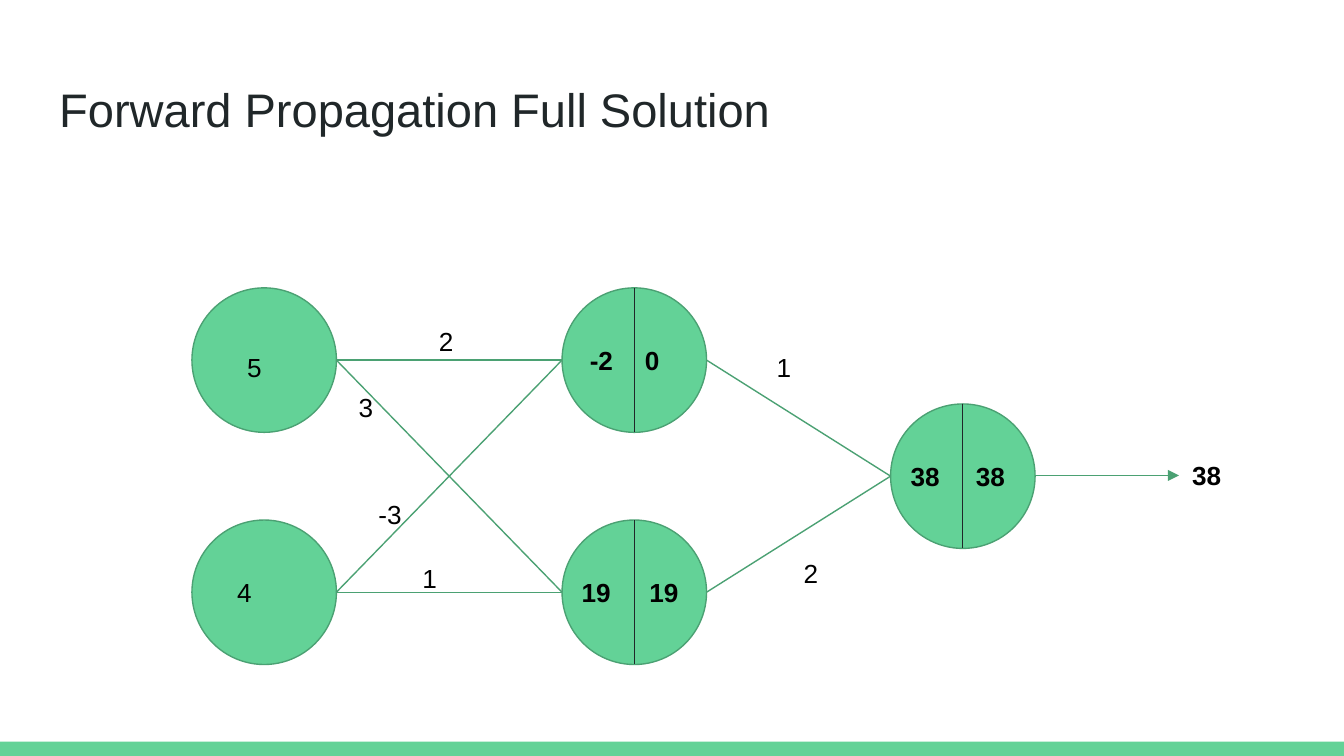
from dataclasses import dataclass

from lxml import etree
from pptx import Presentation
from pptx.dml.color import RGBColor
from pptx.enum import shapes, text
from pptx.oxml import ns
from pptx.util import Pt


@dataclass(frozen=True)
class Theme:
    font: str = "Arial"
    green: RGBColor = RGBColor(0x63, 0xD2, 0x97)
    edge: RGBColor = RGBColor(0x4B, 0xA1, 0x73)
    dark: RGBColor = RGBColor(0x20, 0x27, 0x29)
    black: RGBColor = RGBColor(0, 0, 0)
    title_size: float = 25.2
    label_size: float = 14
    line_width: float = 0.75


THEME = Theme()
WIDTH, HEIGHT = 720, 405
RADIUS = 38.7

# Network layout: node centres by layer
INPUT_X, HIDDEN_X, OUTPUT_X = 141.5, 339.8, 515.8
TOP_Y, BOTTOM_Y = 192.9, 317.3
MIDDLE_Y = (TOP_Y + BOTTOM_Y) / 2
INPUTS = [(INPUT_X, TOP_Y), (INPUT_X, BOTTOM_Y)]
HIDDEN = [(HIDDEN_X, TOP_Y), (HIDDEN_X, BOTTOM_Y)]
OUTPUT = (OUTPUT_X, MIDDLE_Y)

LABEL_WIDTH, LABEL_HEIGHT = 43.2, 31.7
NARROW_WIDTH = 31.7

# Labels: text, left, top, width
INPUT_VALUES = [
    ("5", 125.3, 180.9, LABEL_WIDTH),
    ("4", 120, 301.8, LABEL_WIDTH),
]
WEIGHTS = [
    ("2", 228, 167.2, LABEL_WIDTH),
    ("3", 185.1, 202.5, LABEL_WIDTH),
    ("-3", 195.7, 260, LABEL_WIDTH),
    ("1", 219.2, 294, LABEL_WIDTH),
    ("1", 409, 180.9, NARROW_WIDTH),
    ("2", 423.4, 291.6, NARROW_WIDTH),
]
NODE_VALUES = [
    ("-2", 308.9, 177.4, LABEL_WIDTH),
    ("0", 338.4, 177.4, LABEL_WIDTH),
    ("19", 304.5, 301.8, LABEL_WIDTH),
    ("19", 340.8, 301.8, LABEL_WIDTH),
    ("38", 480.8, 239.7, LABEL_WIDTH),
    ("38", 515.7, 239.7, LABEL_WIDTH),
    ("38", 631.6, 239.1, LABEL_WIDTH),
]


def format_text(box, size, color, bold=False):
    frame = box.text_frame
    frame.word_wrap = True
    frame.margin_left = frame.margin_right = Pt(7.2)
    frame.margin_top = frame.margin_bottom = Pt(7.2)
    for para in frame.paragraphs:
        para.alignment = text.PP_ALIGN.LEFT
        for span in para.runs:
            span.font.name = THEME.font
            span.font.size = Pt(size)
            span.font.bold = bold
            span.font.color.rgb = color


def set_title(page, words):
    title = page.shapes.title
    title.left, title.top = Pt(24.5), Pt(35.3)
    title.width, title.height = Pt(671), Pt(45.3)
    title.text_frame.text = words
    title.text_frame.auto_size = text.MSO_AUTO_SIZE.NONE
    title.text_frame.vertical_anchor = text.MSO_ANCHOR.BOTTOM
    format_text(title, THEME.title_size, THEME.dark)


def add_bar(page):
    thickness = 7.6
    bar = page.shapes.add_shape(
        shapes.MSO_SHAPE.RECTANGLE,
        Pt(0), Pt(HEIGHT - thickness), Pt(WIDTH), Pt(thickness))
    bar.shadow.inherit = False
    bar.fill.solid()
    bar.fill.fore_color.rgb = THEME.green
    bar.line.fill.background()


def add_node(page, center):
    x, y = center
    node = page.shapes.add_shape(
        shapes.MSO_SHAPE.OVAL,
        Pt(x - RADIUS), Pt(y - RADIUS), Pt(2 * RADIUS), Pt(2 * RADIUS))
    node.shadow.inherit = False
    node.fill.solid()
    node.fill.fore_color.rgb = THEME.green
    node.line.color.rgb = THEME.edge
    node.line.width = Pt(THEME.line_width)


def add_line(page, start, end, color, arrow=False):
    line = page.shapes.add_connector(
        shapes.MSO_CONNECTOR.STRAIGHT,
        Pt(start[0]), Pt(start[1]), Pt(end[0]), Pt(end[1]))
    line.line.color.rgb = color
    line.line.width = Pt(THEME.line_width)
    properties = line.element.spPr
    if arrow:
        outline = properties.find(ns.qn("a:ln"))
        etree.SubElement(outline, ns.qn("a:tailEnd"), type="triangle")
    etree.SubElement(properties, ns.qn("a:effectLst"))


def add_edge(page, source, target):
    """Join the right side of one node to the left side of another."""
    add_line(page, (source[0] + RADIUS, source[1]),
             (target[0] - RADIUS, target[1]), THEME.edge)


def add_divider(page, center):
    x, y = center
    add_line(page, (x, y - RADIUS), (x, y + RADIUS), THEME.dark)


def add_label(page, words, left, top, width, bold=False):
    box = page.shapes.add_textbox(
        Pt(left), Pt(top), Pt(width), Pt(LABEL_HEIGHT))
    box.text_frame.text = words
    box.text_frame.auto_size = text.MSO_AUTO_SIZE.SHAPE_TO_FIT_TEXT
    format_text(box, THEME.label_size, THEME.black, bold)


def main():
    deck = Presentation()
    deck.slide_width, deck.slide_height = Pt(WIDTH), Pt(HEIGHT)
    page = deck.slides.add_slide(deck.slide_layouts.get_by_name("Title Only"))

    # Frame
    add_bar(page)
    set_title(page, "Forward Propagation Full Solution")

    # Nodes
    for center in [*INPUTS, *HIDDEN, OUTPUT]:
        add_node(page, center)

    # Edges between layers
    for hidden in HIDDEN:
        for source in INPUTS:
            add_edge(page, source, hidden)
        add_edge(page, hidden, OUTPUT)

    # Inputs and weights
    for label in INPUT_VALUES + WEIGHTS:
        add_label(page, *label)

    # Split nodes: sum on the left, activation on the right
    for center in [*HIDDEN, OUTPUT]:
        add_divider(page, center)
    for label in NODE_VALUES:
        add_label(page, *label, bold=True)

    # Result arrow
    add_line(page, (OUTPUT_X + RADIUS, MIDDLE_Y - 0.4),
             (631.6, MIDDLE_Y - 0.4), THEME.edge, arrow=True)

    deck.save("out.pptx")


if __name__ == "__main__":
    main()
